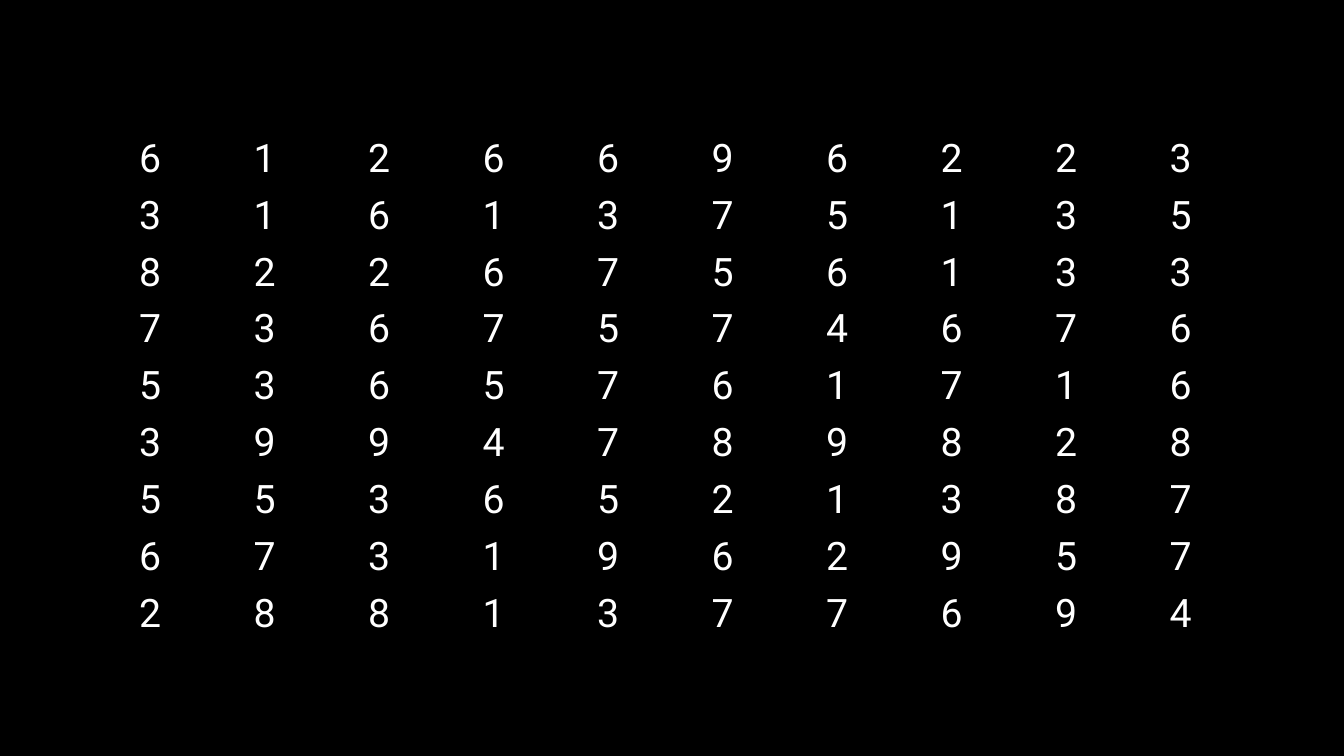
"""Build a black slide with a grid of white digits."""
from dataclasses import dataclass

from pptx import Presentation
from pptx.dml.color import RGBColor
from pptx.enum.text import MSO_ANCHOR, PP_ALIGN
from pptx.oxml.ns import qn
from pptx.slide import Slide
from pptx.table import _Cell
from pptx.util import Inches, Pt

MIDDLE = MSO_ANCHOR.MIDDLE
CENTER = PP_ALIGN.CENTER
BLACK = RGBColor(0x00, 0x00, 0x00)
WHITE = RGBColor(0xFF, 0xFF, 0xFF)
UNSTYLED_GRID = "{2D5ABB26-0587-4C30-8999-92F81FD0307C}"

SLIDE_WIDTH = Inches(13.33)
SLIDE_HEIGHT = Inches(7.5)
INSET = Inches(0.01)

CELL_FORMAT = {
    "vertical_anchor": MIDDLE,
    "margin_left": INSET,
    "margin_right": INSET,
    "margin_top": INSET,
    "margin_bottom": 0,
}
DIGIT_FORMAT = {"name": "Roboto", "size": Pt(28), "bold": False}
PLAIN_TABLE = {"first_row": False, "horz_banding": False}


@dataclass(frozen=True)
class DigitGrid:
    """Rows of digits and the place of their grid on the slide."""

    left: int
    top: int
    column_width: int
    row_height: int
    rows: tuple[str, ...]


DIGITS = DigitGrid(
    left=Inches(0.92),
    top=Inches(1.29),
    column_width=Inches(11.36) // 10,
    row_height=Inches(5.08) // 9,
    rows=(
        "6126696223",
        "3161375135",
        "8226756133",
        "7367574676",
        "5365761716",
        "3994789828",
        "5536521387",
        "6731962957",
        "2881377694",
    ),
)


def apply_format(target: object, values: dict[str, object]) -> None:
    """Set each named attribute of the target."""
    for name, value in values.items():
        setattr(target, name, value)


def write_digit(cell: _Cell, digit: str) -> None:
    """Write one centred digit into an unfilled cell."""
    cell.fill.background()
    apply_format(cell, CELL_FORMAT)
    paragraph = cell.text_frame.paragraphs[0]
    paragraph.alignment = CENTER
    run = paragraph.add_run()
    run.text = digit
    apply_format(run.font, DIGIT_FORMAT)
    run.font.color.rgb = WHITE


def draw_digits(slide: Slide, grid: DigitGrid) -> None:
    """Draw the grid as a table without borders."""
    row_count, column_count = len(grid.rows), len(grid.rows[0])
    frame = slide.shapes.add_table(
        row_count,
        column_count,
        grid.left,
        grid.top,
        grid.column_width * column_count,
        grid.row_height * row_count,
    )
    table = frame.table
    apply_format(table, PLAIN_TABLE)
    next(frame.element.iter(qn("a:tableStyleId"))).text = UNSTYLED_GRID
    for row_index, digits in enumerate(grid.rows):
        for column_index, digit in enumerate(digits):
            write_digit(table.cell(row_index, column_index), digit)


def main() -> None:
    """Create and save the slide."""
    presentation = Presentation()
    presentation.slide_width = SLIDE_WIDTH
    presentation.slide_height = SLIDE_HEIGHT
    slide = presentation.slides.add_slide(presentation.slide_layouts[6])
    backdrop = slide.background.fill
    backdrop.solid()
    backdrop.fore_color.rgb = BLACK
    draw_digits(slide, DIGITS)
    presentation.save("out.pptx")


if __name__ == "__main__":
    main()
